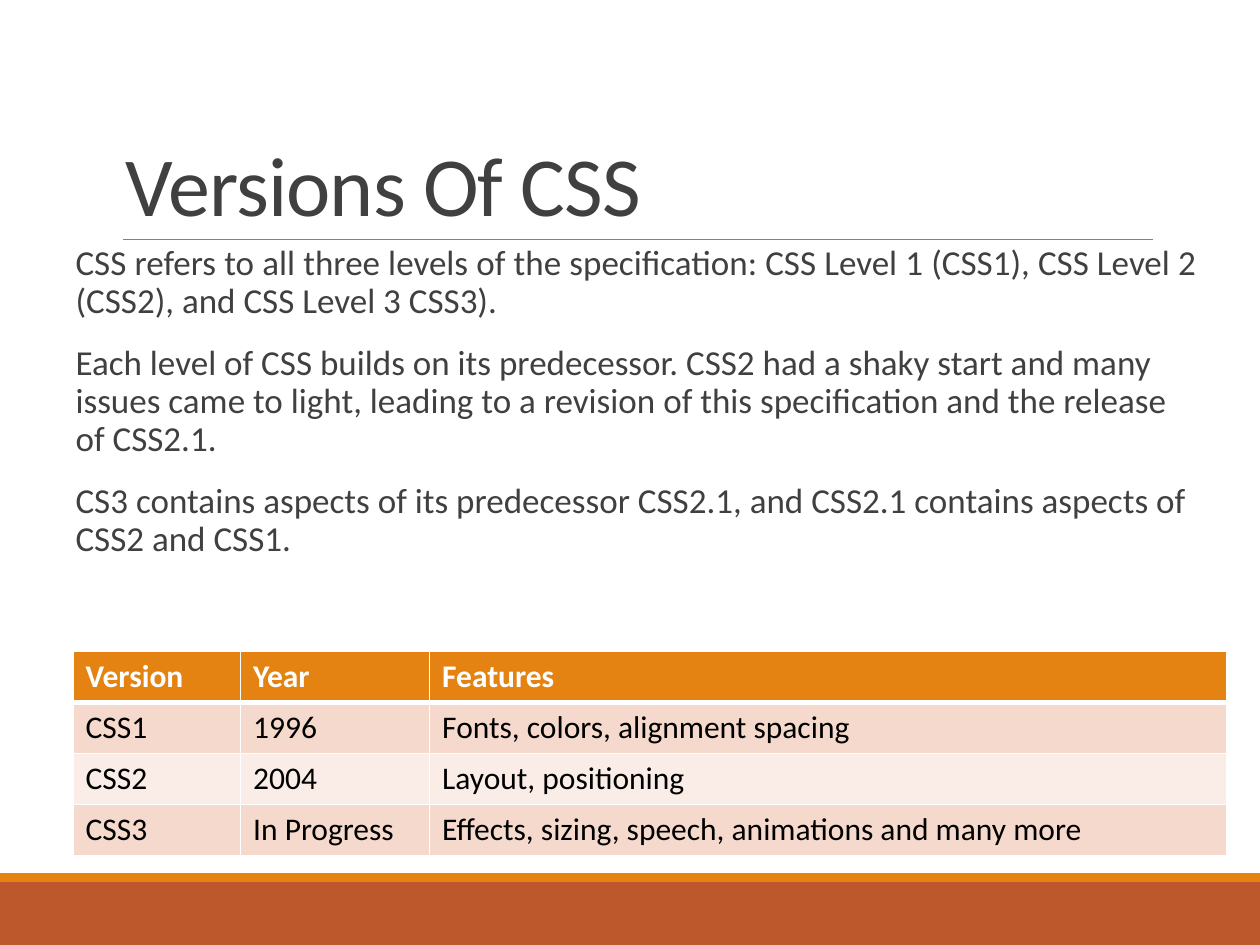
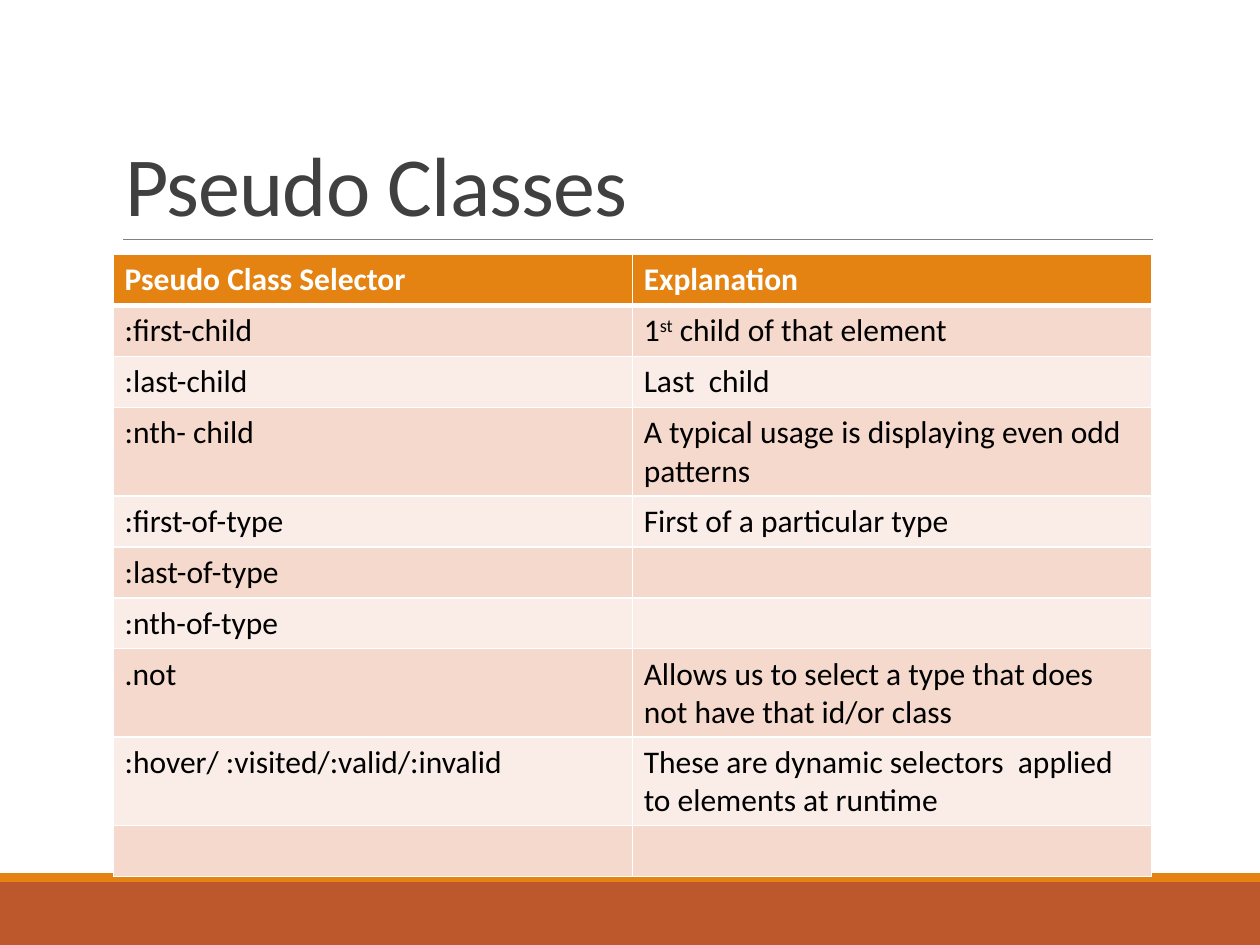
import pptx
import pptx.util
import pptx.dml.color
import pptx.enum.shapes
import pptx.enum.text
import pptx.oxml
import pptx.oxml.ns

Inches = pptx.util.Inches
Pt = pptx.util.Pt
FONT = "Calibri"
COLORS = {"rust": "BD582C", "gold": "E48312", "rule": "808080", "text": "404040",
          "white": "FFFFFF", "black": "000000", "dark": "F5D9CC", "light": "FAEDE7"}

LEVELS = [
    "CSS refers to all three levels of the specification: CSS Level 1 (CSS1), "
    "CSS Level 2 (CSS2), and CSS Level 3 CSS3).",
    "Each level of CSS builds on its predecessor. CSS2 had a shaky start and many "
    "issues came to light, leading to a revision of this specification and the "
    "release of CSS2.1.",
    "CS3 contains aspects of its predecessor CSS2.1, and CSS2.1 contains aspects of "
    "CSS2 and CSS1.",
]
VERSIONS = [
    ("Version", "Year", "Features"),
    ("CSS1", "1996", "Fonts, colors, alignment spacing"),
    ("CSS2", "2004", "Layout, positioning"),
    ("CSS3", "In Progress", "Effects, sizing, speech, animations and many more"),
]
PSEUDO = [
    ("Pseudo Class Selector", "Explanation"),
    (":first-child", ("1", "st", " child of that element")),
    (":last-child", "Last  child"),
    (":nth- child", "A typical usage is displaying even odd patterns"),
    (":first-of-type", "First of a particular type"),
    (":last-of-type", ""),
    (":nth-of-type", ""),
    (".not", "Allows us to select a type that does not have that id/or class"),
    (":hover/ :visited/:valid/:invalid",
     "These are dynamic selectors  applied to elements at runtime"),
    ("", ""),
]


def color(name):
    """Return the named colour."""
    return pptx.dml.color.RGBColor.from_string(COLORS[name])


def style(para, size, tint, bold=False):
    """Format every run of a paragraph."""
    for run in para.runs:
        run.font.name = FONT
        run.font.size = Pt(size)
        run.font.bold = bold
        run.font.color.rgb = color(tint)


def add_band(slide, box, tint):
    """Draw a plain filled band."""
    band = slide.shapes.add_shape(
        pptx.enum.shapes.MSO_SHAPE.RECTANGLE, *map(Inches, box))
    band.shadow.inherit = False
    band.fill.solid()
    band.fill.fore_color.rgb = color(tint)
    band.line.fill.background()


def add_rule(slide, left, right, top):
    """Draw the thin rule below the title."""
    rule = slide.shapes.add_connector(
        pptx.enum.shapes.MSO_CONNECTOR.STRAIGHT,
        Inches(left), Inches(top), Inches(right), Inches(top))
    rule.line.color.rgb = color("rule")
    rule.line.width = Pt(0.5)
    props = rule.element.find(pptx.oxml.ns.qn("p:spPr"))
    props.append(pptx.oxml.parse_xml(
        f'<a:effectLst {pptx.oxml.ns.nsdecls("a")}/>'))


def add_title(slide, box, text):
    """Write the slide title at the foot of its box."""
    frame = slide.shapes.add_textbox(*map(Inches, box)).text_frame
    frame.word_wrap = True
    frame.vertical_anchor = pptx.enum.text.MSO_ANCHOR.BOTTOM
    frame.text = text
    para = frame.paragraphs[0]
    para.line_spacing = 0.85
    style(para, 48, "text")
    para.runs[0].font._element.set("spc", "-50")


def add_body(slide, box, texts):
    """Write the body paragraphs."""
    frame = slide.shapes.add_textbox(*map(Inches, box)).text_frame
    frame.word_wrap = True
    frame.margin_left = frame.margin_right = 0
    frame.text = "\n".join(texts)
    for para in frame.paragraphs:
        para.line_spacing = 0.9
        para.space_before = Pt(12)
        para.space_after = Pt(2)
        style(para, 20, "text")
    frame.paragraphs[0].alignment = pptx.enum.text.PP_ALIGN.JUSTIFY


def add_edges(cell, row):
    """Give a cell white borders, thick below the header."""
    props = cell._tc.get_or_add_tcPr()
    widths = {"L": 1, "R": 1, "T": 3 if row == 1 else 1, "B": 3 if row == 0 else 1}
    for spot, (side, width) in enumerate(widths.items()):
        props.insert(spot, pptx.oxml.parse_xml(
            f'<a:ln{side} {pptx.oxml.ns.nsdecls("a")} w="{Pt(width)}"><a:solidFill>'
            f'<a:srgbClr val="{COLORS["white"]}"/></a:solidFill></a:ln{side}>'))


def fill_cell(cell, row, text):
    """Set the text, fill and borders of one cell."""
    parts = (text,) if isinstance(text, str) else text
    para = cell.text_frame.paragraphs[0]
    for spot, part in enumerate(filter(None, parts)):
        run = para.add_run()
        run.text = part
        if spot == 1:
            run.font._element.set("baseline", "30000")
    head = row == 0
    style(para, 18, "white" if head else "black", head)
    cell.fill.solid()
    cell.fill.fore_color.rgb = color("gold" if head else "dark" if row % 2 else "light")
    add_edges(cell, row)


def add_grid(slide, left, top, widths, rows, inset=0.1):
    """Build a banded table with a header row."""
    height = 0.405
    table = slide.shapes.add_table(
        len(rows), len(widths), Inches(left), Inches(top),
        Inches(sum(widths)), Inches(height * len(rows))).table
    for col, width in zip(table.columns, widths):
        col.width = Inches(width)
    for row, texts in enumerate(rows):
        table.rows[row].height = Inches(height)
        for col, text in enumerate(texts):
            cell = table.cell(row, col)
            cell.margin_left = cell.margin_right = Inches(inset)
            fill_cell(cell, row, text)


def add_page(deck, title):
    """Add a slide with the shared bands, rule and title."""
    slide = deck.slides.add_slide(deck.slide_layouts[6])
    add_band(slide, (0, 7, 10, 0.5), "rust")
    add_band(slide, (0, 6.93, 10, 0.07), "gold")
    add_rule(slide, 0.98, 9.15, 1.9)
    add_title(slide, (0.9, 0.31, 8.25, 1.59), title)
    return slide


def main():
    """Build and save the deck."""
    deck = pptx.Presentation()
    deck.slide_width = Inches(10)
    deck.slide_height = Inches(7.5)
    slide = add_page(deck, "Versions Of CSS")
    add_body(slide, (0.6, 1.9, 8.9, 5.6), LEVELS)
    add_grid(slide, 0.58, 5.17, (1.33, 1.5, 6.33), VERSIONS)
    slide = add_page(deck, "Pseudo Classes")
    add_grid(slide, 0.9, 2.02, (4.12, 4.12), PSEUDO, 0.09)
    deck.save("out.pptx")


if __name__ == "__main__":
    main()
